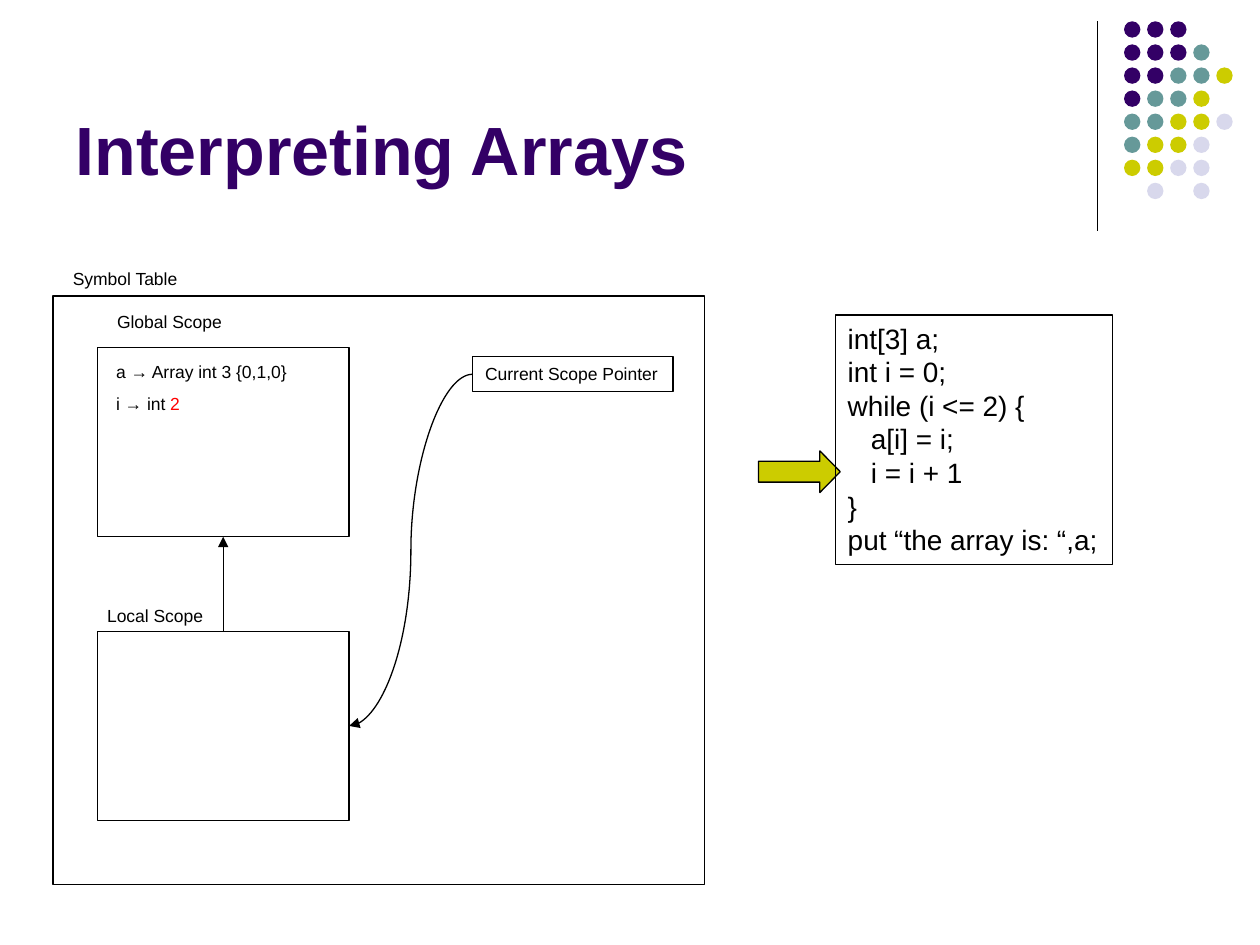
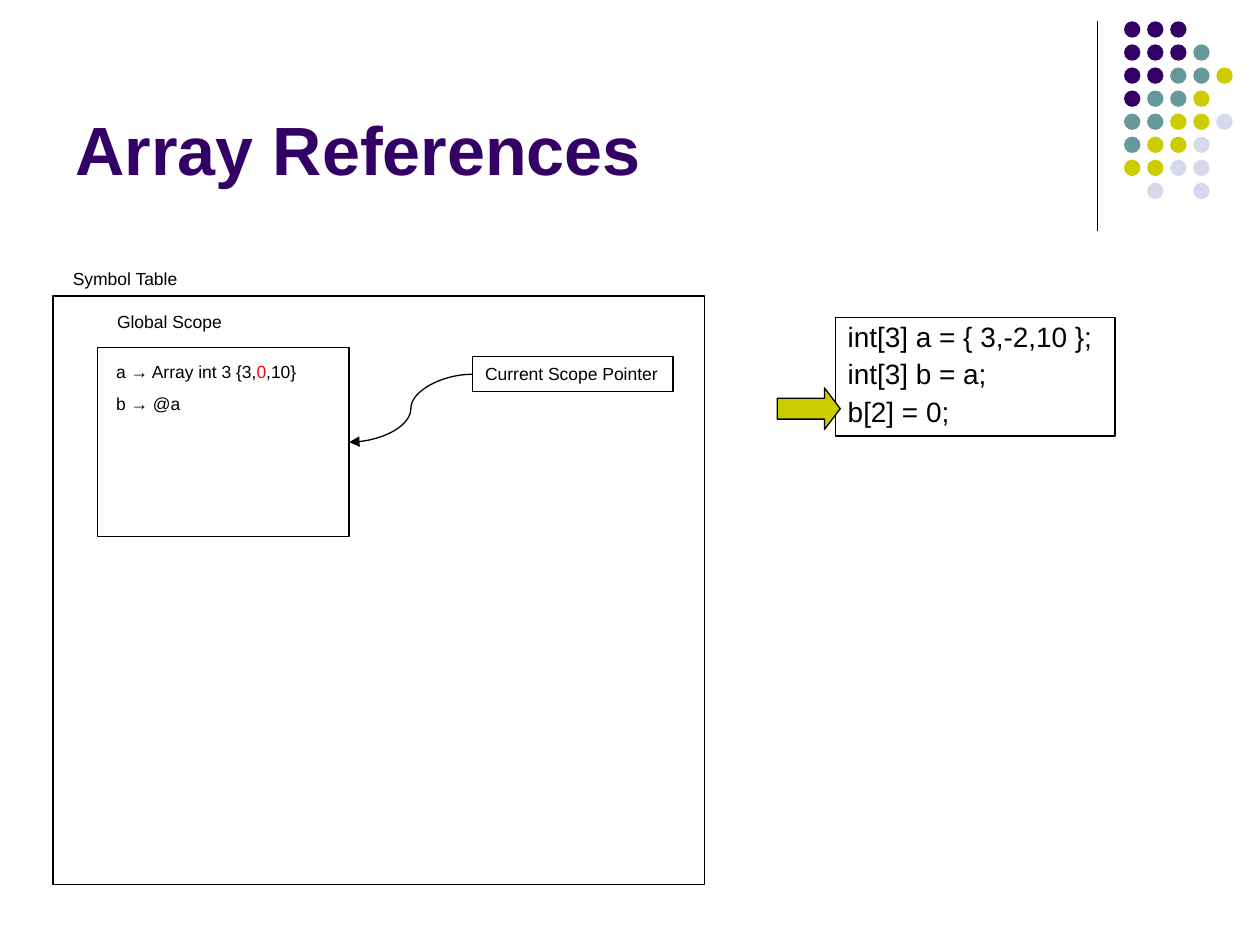
import lxml.etree
import pptx
import pptx.dml.color
import pptx.enum.shapes
import pptx.enum.text
import pptx.oxml.ns
import pptx.util

Cm, Pt = pptx.util.Cm, pptx.util.Pt
SHAPE = pptx.enum.shapes.MSO_SHAPE
LINK = pptx.enum.shapes.MSO_CONNECTOR
ANCHOR = pptx.enum.text.MSO_ANCHOR
ALIGN = pptx.enum.text.PP_ALIGN
FIT = pptx.enum.text.MSO_AUTO_SIZE

BLACK, RED = "000000", "FF0000"
PURPLE, TEAL, GOLD, PALE = "330066", "669999", "CCCC00", "D8D8EC"
FONT = "Arial"
TOP, LEFT, BOTTOM, RIGHT = range(4)  # connection sites of a rectangle

DOTS = ["PPP", "PPPT", "PPTTG", "PTTG", "TTGGL", "TGGL", "GGLL", " L L"]
DOT_FILL = {"P": PURPLE, "T": TEAL, "G": GOLD, "L": PALE}

PANEL = (1.07, 5.97, 13.13, 11.86)
SCOPE = (5.08, 3.81)


def color(code):
    return pptx.dml.color.RGBColor.from_string(code)


def write(shape, lines, size=10, hue=BLACK, bold=False, anchor=ANCHOR.TOP,
          wrap=False, space=None, gap=0):
    """Fill a shape with lines; in a line given as a list, odd runs are red."""
    frame = shape.text_frame
    frame.auto_size = FIT.NONE
    frame.word_wrap = wrap
    frame.vertical_anchor = anchor
    for row, line in enumerate(lines):
        para = frame.add_paragraph() if row else frame.paragraphs[0]
        para.alignment = ALIGN.LEFT
        para.line_spacing = space
        para.space_before = Pt(gap if row else 0)
        for spot, text in enumerate([line] if isinstance(line, str) else line):
            run = para.add_run()
            run.text = text
            run.font.name, run.font.size, run.font.bold = FONT, Pt(size), bold
            run.font.color.rgb = color(RED if spot % 2 else hue)


def draw(shapes, kind, box, fill=None, line=BLACK):
    shape = shapes.add_shape(kind, *map(Cm, box))
    shape.shadow.inherit = False
    if fill:
        shape.fill.solid()
        shape.fill.fore_color.rgb = color(fill)
    else:
        shape.fill.background()
    if line:
        shape.line.color.rgb = color(line)
        shape.line.width = Pt(0.75)
    else:
        shape.line.fill.background()
    return shape


def label(slide, box, line, **form):
    write(slide.shapes.add_textbox(*map(Cm, box)), [line], **form)


def wire(slide, kind, ends=(0, 0, 0, 0)):
    link = slide.shapes.add_connector(kind, *map(Cm, ends))
    link.line.color.rgb = color(BLACK)
    link.line.width = Pt(0.75)
    props = link.element.spPr
    lxml.etree.SubElement(props, pptx.oxml.ns.qn("a:effectLst"))
    return link


def join(slide, kind, start, exit, end, entry):
    """Run an arrow from a site of one shape to a site of another."""
    link = wire(slide, kind)
    link.begin_connect(start, exit)
    link.end_connect(end, entry)
    tip = lxml.etree.SubElement(link.line._get_or_add_ln(), pptx.oxml.ns.qn("a:tailEnd"))
    tip.set("type", "triangle")


def decor(slide, layout, left=22.66, top=0.43, step=0.465, size=0.33):
    """Draw the rule and dot grid, then hand them to the shared layout."""
    rule = wire(slide, LINK.STRAIGHT, (22.12, top, 22.12, 4.65))
    group = slide.shapes.add_group_shape()
    for row, marks in enumerate(DOTS):
        for col, mark in enumerate(marks):
            if mark in DOT_FILL:
                box = (left + col * step, top + row * step, size, size)
                draw(group.shapes, SHAPE.OVAL, box, DOT_FILL[mark], None)
    for part in (rule, group):
        layout.shapes.element.append(part.element)


def head(slide, text):
    title = slide.shapes.title
    title.left, title.top, title.width, title.height = map(Cm, (1.27, 0.33, 20.96, 3.61))
    write(title, [text], size=39, hue=PURPLE, bold=True, anchor=ANCHOR.BOTTOM, wrap=True)


def scope(slide, left, top, name, shift, rows=()):
    """A scope box with its name above and its symbols inside."""
    box = draw(slide.shapes, SHAPE.RECTANGLE, (left, top, *SCOPE))
    label(slide, (left + shift[0], top + shift[1], 2.6, 0.69), name)
    for row, line in enumerate(rows):
        spot = (left + 0.13, top + 0.15 + row * 0.64, 4.7, 0.69)
        label(slide, spot, line, wrap=True)
    return box


def table(slide, panel, rows, local=False):
    """The symbol table: scopes and the pointer to the current one."""
    left, top = panel[:2]
    draw(slide.shapes, SHAPE.RECTANGLE, panel)
    label(slide, (left + 0.15, top - 0.69, 2.67, 0.69), "Symbol Table")
    now = scope(slide, left + 0.89, top + 1.04, "Global Scope", (0.15, -0.86), rows)
    if local:
        outer = now
        now = scope(slide, left + 0.89, top + 6.76, "Local Scope", (-0.05, -0.66))
        join(slide, LINK.STRAIGHT, now, TOP, outer, BOTTOM)
    mark = draw(slide.shapes, SHAPE.RECTANGLE, (left + 8.46, top + 1.22, 4.04, 0.71))
    write(mark, ["Current Scope Pointer"])
    join(slide, LINK.CURVE, mark, LEFT, now, RIGHT)


def code(slide, box, lines, **form):
    write(draw(slide.shapes, SHAPE.RECTANGLE, box), lines, size=16, **form)


def arrow(slide, top, width, point, tip=16.94):
    """The arrow at the line of code being run, ending at tip."""
    box = (tip - width, top, width, 0.84)
    shape = draw(slide.shapes, SHAPE.RIGHT_ARROW, box, GOLD)
    shape.adjustments[0], shape.adjustments[1] = 0.5, point


def main():
    deck = pptx.Presentation()
    deck.slide_width, deck.slide_height = Cm(25.4), Cm(19.05)
    layout = deck.slide_layouts[5]

    # Interpreting arrays
    slide = deck.slides.add_slide(layout)
    decor(slide, layout)
    head(slide, "Interpreting Arrays")
    table(slide, PANEL, ["a → Array int 3 {0,1,0}", ["i → int ", "2"]], local=True)
    arrow(slide, 9.09, 1.65, 0.49)
    code(slide, (16.84, 6.35, 5.59, 5.03), [
        "int[3] a;",
        "int i = 0;",
        "while (i <= 2) {",
        "   a[i] = i;",
        "   i = i + 1",
        "}",
        "put “the array is: “,a;",
    ])

    # Array references
    slide = deck.slides.add_slide(layout)
    head(slide, "Array References")
    table(slide, PANEL, [["a → Array int 3 {3,", "0", ",10}"], "b → @a"])
    code(slide, (16.84, 6.4, 5.64, 2.39), [
        "int[3] a = { 3,-2,10 };",
        "int[3] b = a;",
        "b[2] = 0;",
    ], space=0.9, gap=4)
    arrow(slide, 7.82, 1.27, 0.38)

    deck.save("out.pptx")


if __name__ == "__main__":
    main()
